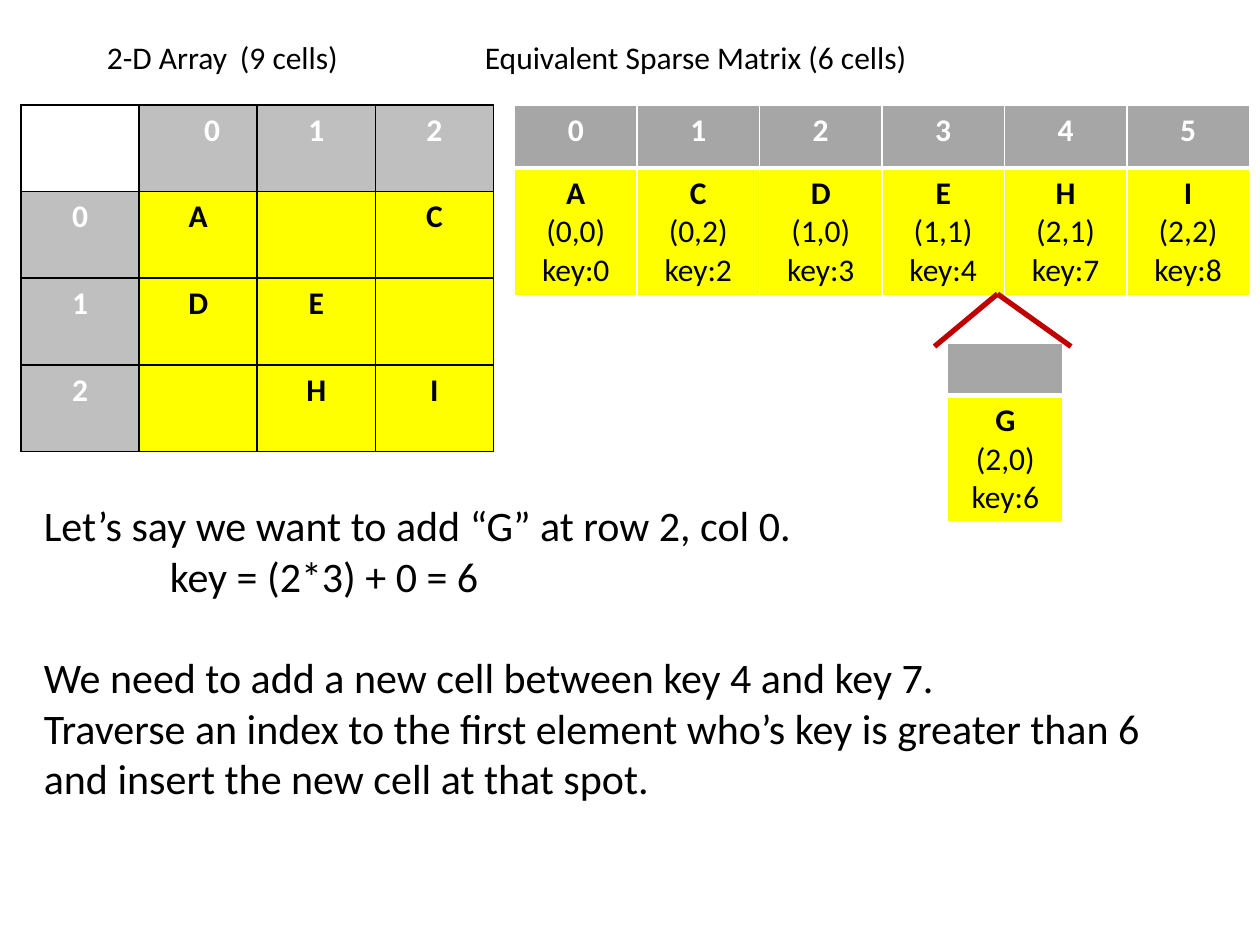
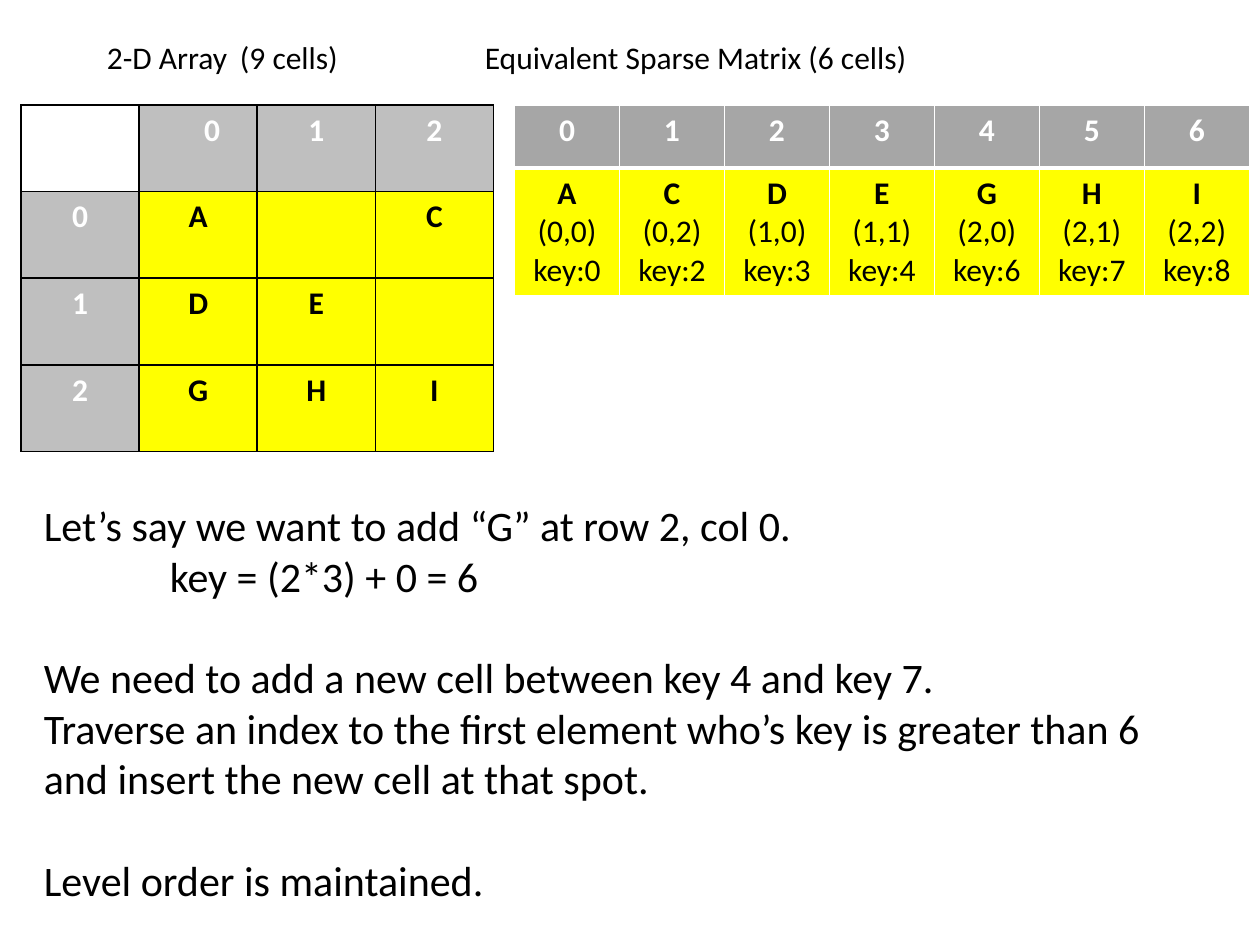
from dataclasses import dataclass

from lxml import etree
from pptx import Presentation, util as u
from pptx.dml.color import RGBColor
from pptx.enum import shapes, text
from pptx.oxml import ns

Pt = u.Pt
COLUMNS = 3  # columns of the two-dimensional array, used to work out keys


@dataclass(frozen=True)
class Theme:
    """Colours, font and type sizes shared by the slides."""
    font: str = "Calibri"
    label: float = 18
    body: float = 24
    black: str = "000000"
    white: str = "FFFFFF"
    index: str = "BFBFBF"
    sparse_index: str = "A6A6A6"
    value: str = "FFFF00"
    pointer: str = "C00000"
    thin: float = 1
    thick: float = 3


THEME = Theme()


def add_text(paragraph, words, size, color=THEME.black, bold=False, indent=0):
    """Add one styled run to a paragraph, with an optional left indent."""
    run = paragraph.add_run()
    run.text = words
    run.font.name = THEME.font
    run.font.size = Pt(size)
    run.font.bold = bold
    run.font.color.rgb = RGBColor.from_string(color)
    if indent:
        paragraph._p.get_or_add_pPr().set("marL", str(Pt(indent)))


def set_borders(cell, color, left, right, top, bottom):
    """Draw the four edges of a cell with the given widths."""
    properties = cell._tc.get_or_add_tcPr()
    widths = {"a:lnL": left, "a:lnR": right, "a:lnT": top, "a:lnB": bottom}
    for place, (edge, width) in enumerate(widths.items()):
        line = etree.Element(ns.qn(edge), w=str(Pt(width)))
        fill = etree.SubElement(line, ns.qn("a:solidFill"))
        etree.SubElement(fill, ns.qn("a:srgbClr"), val=color)
        properties.insert(place, line)


def fill_cell(cell, lines, fill, color, indent=0):
    """Fill a cell and centre its lines, the first of them bold."""
    if fill:
        cell.fill.solid()
        cell.fill.fore_color.rgb = RGBColor.from_string(fill)
    else:
        cell.fill.background()
    for number, line in enumerate(lines):
        frame = cell.text_frame
        paragraph = frame.add_paragraph() if number else frame.paragraphs[0]
        paragraph.alignment = text.PP_ALIGN.CENTER
        add_text(paragraph, line, THEME.label, color, number == 0, indent)


def plain_table(slide, box, row_heights, columns):
    """Add a table without banding, its columns equally wide."""
    left, top, width = box
    table = slide.shapes.add_table(
        len(row_heights), columns, Pt(left), Pt(top), Pt(width), Pt(sum(row_heights))).table
    table.first_row = table.horz_banding = False
    for column in table.columns:
        column.width = Pt(width / columns)
    for row, height in zip(table.rows, row_heights):
        row.height = Pt(height)
    return table


def array_grid(slide, box, values):
    """Place the array with its row and column indices."""
    left, top, width, height = box
    size = len(values) + 1
    table = plain_table(slide, (left, top, width), [height / size] * size, COLUMNS + 1)
    for row in range(size):
        for column in range(COLUMNS + 1):
            cell = table.cell(row, column)
            if row and column:
                letter = values[row - 1][column - 1].strip()
                fill_cell(cell, [letter] if letter else [], THEME.value, THEME.black)
            elif row or column:
                indent = 16 if (row, column) == (0, 1) else 0
                fill_cell(cell, [str(max(row, column) - 1)], THEME.index, THEME.white, indent)
            else:
                fill_cell(cell, [], None, THEME.white)
            set_borders(cell, THEME.black, *[THEME.thin] * 4)


def sparse_cells(slide, box, entries, index_height, numbered=True):
    """Place a strip of (letter, row, column) entries under their indices."""
    left, top, width, height = box
    table = plain_table(slide, (left, top, width),
                        [index_height, height - index_height], len(entries))
    thin, thick = THEME.thin, THEME.thick
    for number, (letter, row, column) in enumerate(entries):
        index, entry = table.cell(0, number), table.cell(1, number)
        fill_cell(index, [str(number)] if numbered else [], THEME.sparse_index, THEME.white)
        set_borders(index, THEME.white, thin, thin, thin, thick)
        key = row * COLUMNS + column
        fill_cell(entry, [letter, f"({row},{column})", f"key:{key}"], THEME.value, THEME.black)
        set_borders(entry, THEME.white, thin, thin, thick, thin)


def text_block(slide, box, lines, size):
    """Place a text box; each line is (words, indent, space before)."""
    frame = slide.shapes.add_textbox(*map(Pt, box)).text_frame
    frame.word_wrap = True
    frame.auto_size = text.MSO_AUTO_SIZE.SHAPE_TO_FIT_TEXT
    for number, (words, indent, gap) in enumerate(lines):
        paragraph = frame.add_paragraph() if number else frame.paragraphs[0]
        if gap:
            paragraph.space_before = Pt(gap)
        add_text(paragraph, words, size, indent=indent)


def insertion_mark(slide, box):
    """Draw a roof from the gap between two entries to the new cell."""
    left, top, width, height = box
    peak, base = (left + 36, top), top + height
    for start, end in [((left, base), peak), (peak, (left + width, base))]:
        line = slide.shapes.add_connector(
            shapes.MSO_CONNECTOR.STRAIGHT, *map(Pt, start + end))
        line.line.width = Pt(THEME.thick)
        line.line.color.rgb = RGBColor.from_string(THEME.pointer)
        etree.SubElement(line._element.spPr, ns.qn("a:effectLst"))


def comparison_slide(deck, values, notes, body_height):
    """Show an array beside its sparse matrix, with an explanation below."""
    slide = deck.slides.add_slide(deck.slide_layouts[6])
    entries = [(letter, row, column) for row, letters in enumerate(values)
               for column, letter in enumerate(letters) if letter.strip()]
    array_grid(slide, (12, 60, 270, 198), values)
    sparse_cells(slide, (294, 60, 420, 108), entries, 36)
    headings = "\t2-D Array\t (9 cells)\t\t\tEquivalent Sparse Matrix (6 cells)"
    text_block(slide, (18, 18, 690, 29), [(headings, 0, 0)], THEME.label)
    text_block(slide, (18, 282, 678, body_height), notes, THEME.body)
    return slide


def main():
    """Build the slides before and after the insertion."""
    deck = Presentation()
    deck.slide_width, deck.slide_height = Pt(720), Pt(540)
    blank_line = 29.3
    notes = [
        ("Let’s say we want to add “G” at row 2, col 0.", 0, 0),
        ("key = (2*3) + 0 = 6", 72, 0),
        ("We need to add a new cell between key 4 and key 7.", 0, blank_line),
        ("Traverse an index to the first element who’s key is greater than 6 "
         "and insert the new cell at that spot.", 0, 0),
    ]
    before = comparison_slide(deck, ["A C", "DE ", " HI"], notes, 211)
    sparse_cells(before, (541.5, 196, 66, 102), [("G", 2, 0)], 30, numbered=False)
    insertion_mark(before, (534, 168, 78, 30))

    conclusion = ("Level order is maintained.", 0, blank_line)
    comparison_slide(deck, ["A C", "DE ", "GHI"], notes + [conclusion], 240)
    deck.save("out.pptx")


main()
